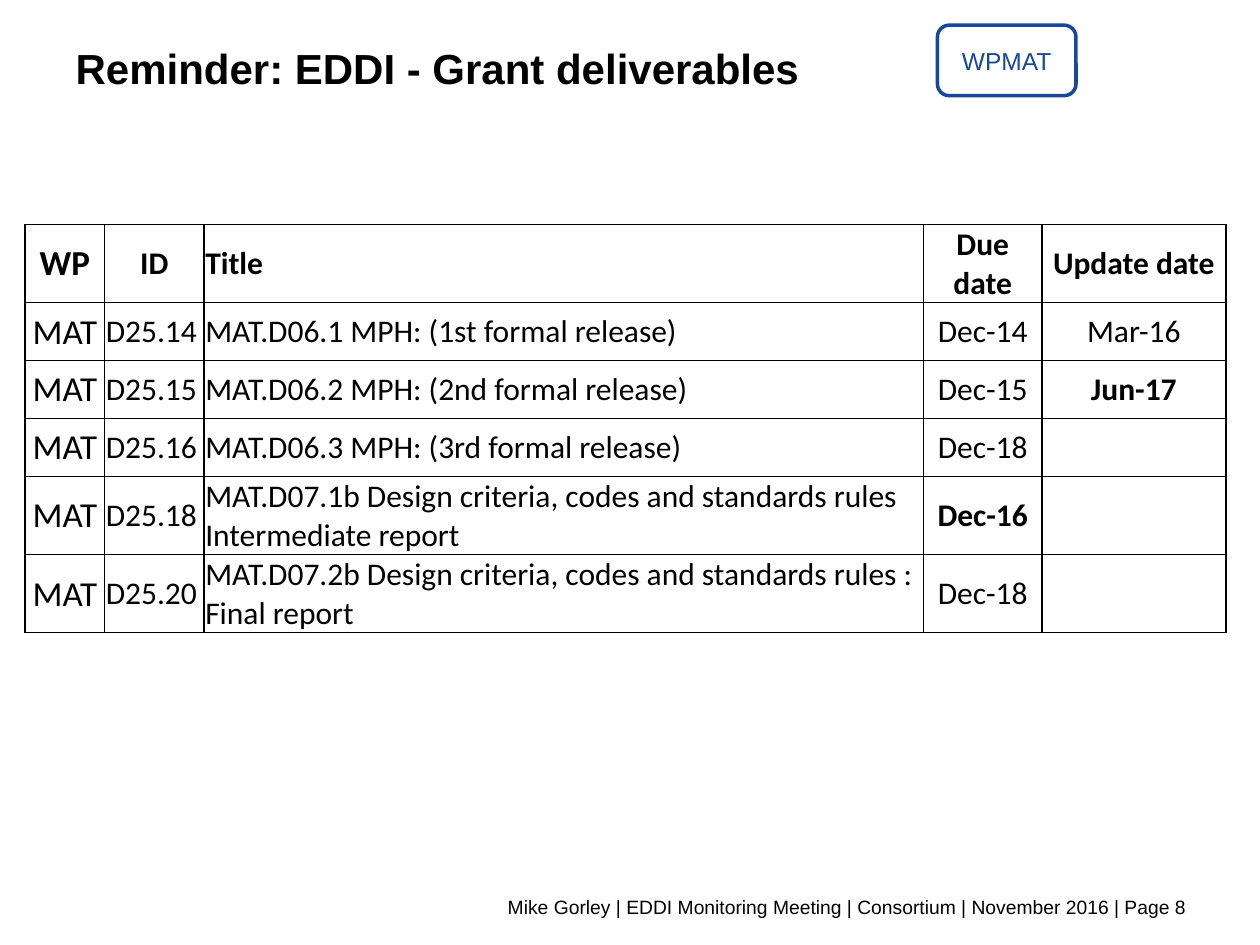
from lxml import etree
from pptx import Presentation
from pptx.dml.color import RGBColor
from pptx.enum.shapes import MSO_SHAPE
from pptx.enum.text import MSO_ANCHOR, PP_ALIGN
from pptx.oxml.ns import qn
from pptx.util import Inches, Pt

LEFT, CENTER, RIGHT = PP_ALIGN.LEFT, PP_ALIGN.CENTER, PP_ALIGN.RIGHT
TOP, MIDDLE = MSO_ANCHOR.TOP, MSO_ANCHOR.MIDDLE
ROUNDED = MSO_SHAPE.ROUNDED_RECTANGLE
BLACK = RGBColor(0x00, 0x00, 0x00)
BLUE = RGBColor(0x18, 0x48, 0x97)

# Content
TITLE = "Reminder: EDDI - Grant deliverables"
WORK_PACKAGE = "WPMAT"
FOOTER = "Mike Gorley | EDDI Monitoring Meeting | Consortium | November 2016 | Page 8"
HEADERS = ["WP", "ID", "Title", "Due date", "Update date"]
DELIVERABLES = [
    ("MAT", "D25.14", "MAT.D06.1 MPH: (1st formal release)", "Dec-14", "Mar-16"),
    ("MAT", "D25.15", "MAT.D06.2 MPH: (2nd formal release)", "Dec-15", "Jun-17"),
    ("MAT", "D25.16", "MAT.D06.3 MPH: (3rd formal release)", "Dec-18", ""),
    ("MAT", "D25.18", "MAT.D07.1b Design criteria, codes and standards rules "
     "Intermediate report", "Dec-16", ""),
    ("MAT", "D25.20", "MAT.D07.2b Design criteria, codes and standards rules : "
     "Final report", "Dec-18", ""),
]
HIGHLIGHTED_DATES = {"Jun-17", "Dec-16"}
COLUMN_WIDTHS = [0.63, 0.79, 5.71, 0.94, 1.46]
COLUMN_SIZES = [20, 18, 18, 18, 18]
HEADER_ALIGNS = [CENTER, CENTER, LEFT, CENTER, CENTER]
BODY_ALIGNS = [CENTER, LEFT, LEFT, CENTER, CENTER]
ROW_HEIGHT = 0.46


def write(frame, text, size, font="Arial", color=BLACK, bold=False, align=LEFT):
    paragraph = frame.paragraphs[0]
    paragraph.text = text
    paragraph.alignment = align
    paragraph.font.name = font
    paragraph.font.size = Pt(size)
    paragraph.font.bold = bold
    paragraph.font.color.rgb = color


def add_borders(cell):
    properties = cell._tc.get_or_add_tcPr()
    for position, side in enumerate(("lnL", "lnR", "lnT", "lnB")):
        border = etree.Element(qn(f"a:{side}"), w=str(Pt(1)))
        fill = etree.SubElement(border, qn("a:solidFill"))
        etree.SubElement(fill, qn("a:srgbClr"), val=str(BLACK))
        properties.insert(position, border)


def main():
    prs = Presentation()
    prs.slide_width, prs.slide_height = Inches(10), Inches(7.5)
    slide = prs.slides.add_slide(prs.slide_layouts[5])

    # Title
    title = slide.shapes.title
    title.left, title.top = Inches(0.5), Inches(0.29)
    title.width, title.height = Inches(8.12), Inches(0.72)
    title.text_frame.vertical_anchor = TOP
    write(title.text_frame, TITLE, 24, bold=True)

    # Work package badge
    badge = slide.shapes.add_shape(
        ROUNDED, Inches(7.44), Inches(0.2), Inches(1.1), Inches(0.56))
    badge.shadow.inherit = False
    badge.fill.background()
    badge.line.color.rgb = BLUE
    badge.line.width = Pt(2)
    badge.text_frame.vertical_anchor = MIDDLE
    write(badge.text_frame, WORK_PACKAGE, 14, color=BLUE, align=CENTER)

    # Deliverables table
    rows = [HEADERS, *DELIVERABLES]
    table = slide.shapes.add_table(
        len(rows), len(HEADERS), Inches(0.2), Inches(1.78),
        Inches(sum(COLUMN_WIDTHS)), Inches(ROW_HEIGHT * len(rows))).table
    table.horz_banding = False
    for column, width in zip(table.columns, COLUMN_WIDTHS):
        column.width = Inches(width)
    for r, values in enumerate(rows):
        is_header = r == 0
        aligns = HEADER_ALIGNS if is_header else BODY_ALIGNS
        for c, value in enumerate(values):
            cell = table.cell(r, c)
            cell.fill.background()
            cell.vertical_anchor = MIDDLE
            cell.margin_left = cell.margin_right = cell.margin_top = Inches(0.01)
            cell.margin_bottom = 0
            add_borders(cell)
            write(cell.text_frame, value, COLUMN_SIZES[c], "Calibri",
                  bold=is_header or value in HIGHLIGHTED_DATES, align=aligns[c])

    # Footer
    footer = slide.shapes.add_textbox(
        Inches(0.51), Inches(7.06), Inches(9.01), Inches(0.29))
    footer.text_frame.word_wrap = True
    write(footer.text_frame, FOOTER, 11, align=RIGHT)

    prs.save("out.pptx")


if __name__ == "__main__":
    main()
